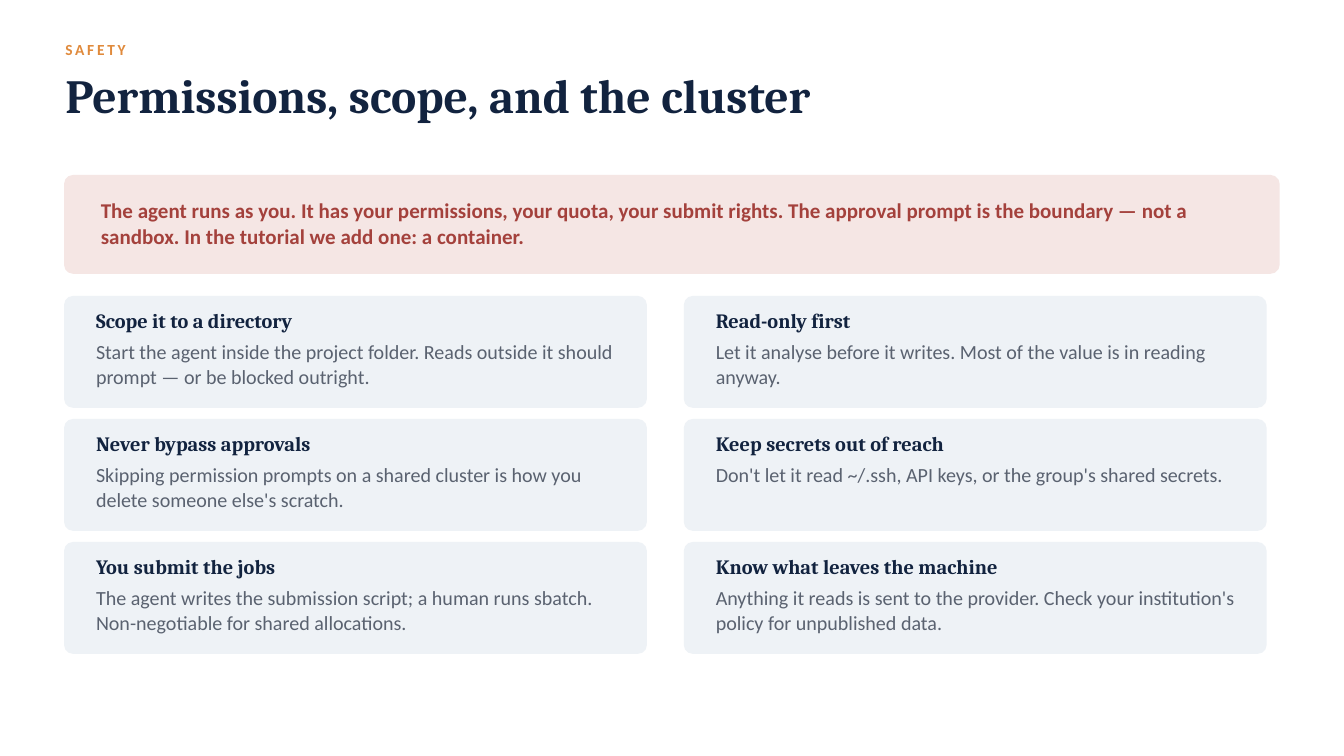
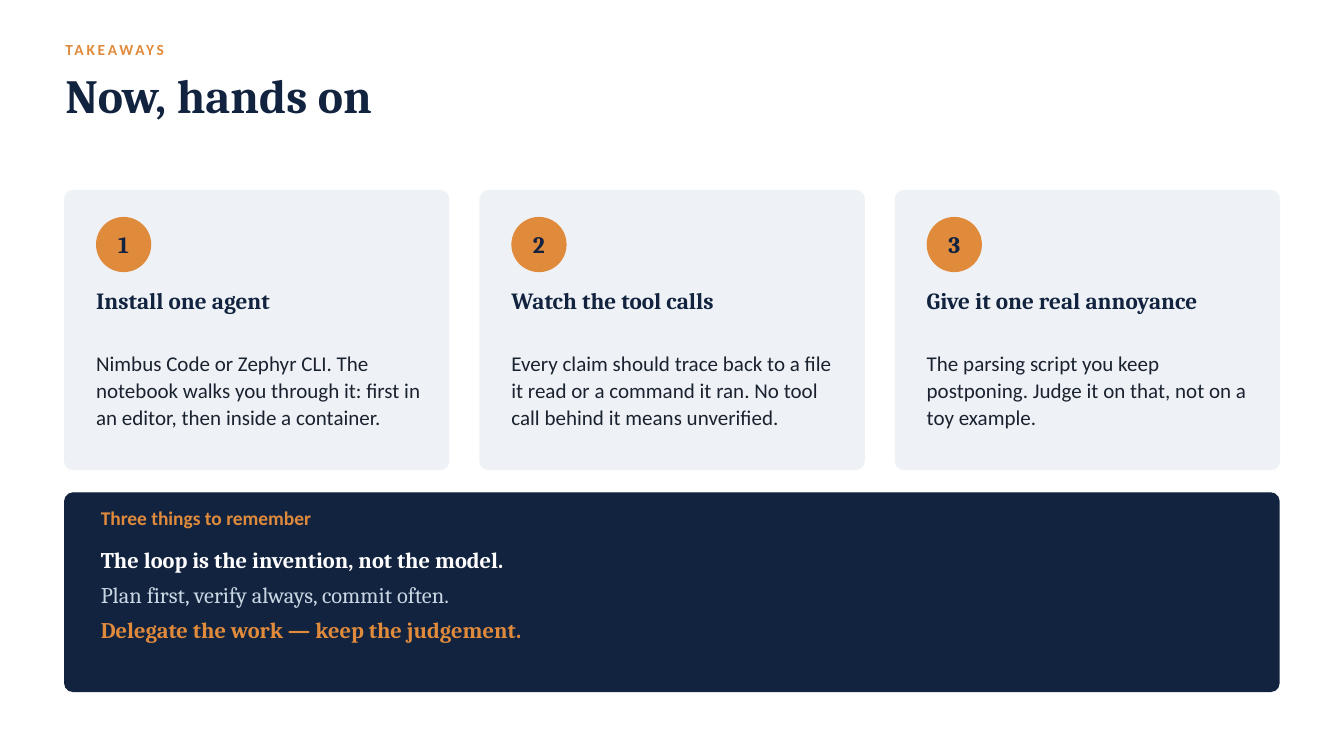
from pptx import Presentation
from pptx.dml.color import RGBColor
from pptx.enum.shapes import MSO_SHAPE
from pptx.enum.text import MSO_ANCHOR, PP_ALIGN
from pptx.util import Pt

ROUND, OVAL = MSO_SHAPE.ROUNDED_RECTANGLE, MSO_SHAPE.OVAL
TOP, MIDDLE = MSO_ANCHOR.TOP, MSO_ANCHOR.MIDDLE
LEFT, CENTER = PP_ALIGN.LEFT, PP_ALIGN.CENTER
SERIF, SANS = "Cambria", "Calibri"
NAVY, ORANGE, PALE, WHITE = "12233F", "E08A3C", "EEF2F6", "FFFFFF"
RED, PINK, GREY, INK, MIST = "A4413C", "F5E6E4", "5A6270", "1A2230", "C9D6E3"
EDGE, WIDE, INSET = 69.4, 1301, 33.5


def panel(slide, kind, at, fill):
    shape = slide.shapes.add_shape(kind, *map(Pt, at))
    shape.shadow.inherit = False
    shape.fill.solid()
    shape.fill.fore_color.rgb = RGBColor.from_string(fill)
    if kind == ROUND:
        shape.adjustments[0] = 9 / min(at[2:])
        shape.line.color.rgb = RGBColor.from_string(fill)
        shape.line.width = Pt(1.5)
    else:
        shape.line.fill.background()
    return shape


def write(text, slide=None, at=None, shape=None, font=SANS, size=22.5, color=NAVY,
          bold=False, lead=27, align=LEFT, anchor=TOP, track=0):
    if shape is None:
        shape = slide.shapes.add_textbox(*map(Pt, at))
    frame = shape.text_frame
    para = frame.add_paragraph() if frame.text else frame.paragraphs[0]
    frame.word_wrap = True
    frame.vertical_anchor = anchor
    frame.margin_left = frame.margin_right = frame.margin_top = frame.margin_bottom = 0
    para.alignment = align
    para.line_spacing = Pt(lead)
    run = para.add_run()
    run.text = text
    run.font.name = font
    run.font.size = Pt(size)
    run.font.bold = bold
    run.font.color.rgb = RGBColor.from_string(color)
    if track:
        run.font._element.set("spc", str(track * 100))
    return shape


deck = Presentation()
deck.slide_width, deck.slide_height = Pt(1440), Pt(810)
pages = []
for tag, title in [("SAFETY", "Permissions, scope, and the cluster"),
                   ("TAKEAWAYS", "Now, hands on")]:
    page = deck.slides.add_slide(deck.slide_layouts[6])
    page.background.fill.solid()
    page.background.fill.fore_color.rgb = RGBColor.from_string(WHITE)
    write(tag, page, (70, 39, 1188, 32), size=16.5, color=ORANGE, bold=True,
          lead=23.8, track=3)
    write(title, page, (70, 70.8, 1296, 93), font=SERIF, size=51, bold=True, lead=61.2)
    pages.append(page)
safety, recap = pages

panel(safety, ROUND, (EDGE, 188.2, WIDE, 104.4), PINK)
write("The agent runs as you. It has your permissions, your quota, your submit rights. "
      "The approval prompt is the boundary — not a sandbox. "
      "In the tutorial we add one: a container.",
      safety, (108, 186, 1220, 106), color=RED, bold=True, anchor=MIDDLE)

rules = [
    ("Scope it to a directory",
     "Start the agent inside the project folder. Reads outside it should prompt — or be blocked outright."),
    ("Read-only first",
     "Let it analyse before it writes. Most of the value is in reading anyway."),
    ("Never bypass approvals",
     "Skipping permission prompts on a shared cluster is how you delete someone else's scratch."),
    ("Keep secrets out of reach",
     "Don't let it read ~/.ssh, API keys, or the group's shared secrets."),
    ("You submit the jobs",
     "The agent writes the submission script; a human runs sbatch. Non-negotiable for shared allocations."),
    ("Know what leaves the machine",
     "Anything it reads is sent to the provider. Check your institution's policy for unpublished data."),
]
for i, (head, body) in enumerate(rules):
    row, col = divmod(i, 2)
    x, y = EDGE + 664 * col, 317.8 + 131.8 * row
    panel(safety, ROUND, (x, y, 623, 118.4), PALE)
    write(head, safety, (x + INSET, y + 12, 561.6, 34), font=SERIF, size=21.8,
          bold=True, lead=26.1)
    write(body, safety, (x + INSET, y + 44.4, 561.6, 66), size=21.5, color=GREY)

steps = [
    ("Install one agent",
     "Nimbus Code or Zephyr CLI. The notebook walks you through it: first in an editor, then inside a container."),
    ("Watch the tool calls",
     "Every claim should trace back to a file it read or a command it ran. No tool call behind it means unverified."),
    ("Give it one real annoyance",
     "The parsing script you keep postponing. Judge it on that, not on a toy example."),
]
for i, (head, body) in enumerate(steps):
    x = EDGE + 445 * i
    panel(recap, ROUND, (x, 204.2, 411.4, 298.8), PALE)
    disc = panel(recap, OVAL, (x + INSET, 232.4, 59.2, 59.2), ORANGE)
    write(str(i + 1), shape=disc, font=SERIF, size=25.2, bold=True, lead=30.2,
          align=CENTER, anchor=MIDDLE)
    write(head, recap, (x + INSET, 306.8, 351.4, 65.6), font=SERIF, size=24.8,
          bold=True, lead=29.7)
    write(body, recap, (x + INSET, 373.8, 351.4, 129), color=INK, lead=28.8)

panel(recap, ROUND, (EDGE, 528.2, WIDE, 212.6), NAVY)
write("Three things to remember", recap, (108, 542.2, 648, 35), size=20.8,
      color=ORANGE, bold=True, lead=24.8)
notes = None
for line, color, bold in [("The loop is the invention, not the model.", WHITE, True),
                          ("Plan first, verify always, commit often.", MIST, False),
                          ("Delegate the work — keep the judgement.", ORANGE, True)]:
    notes = write(line, recap, (108, 576, 1220, 147.6), shape=notes, font=SERIF,
                  size=24, color=color, bold=bold, lead=37.5)

deck.save("out.pptx")
